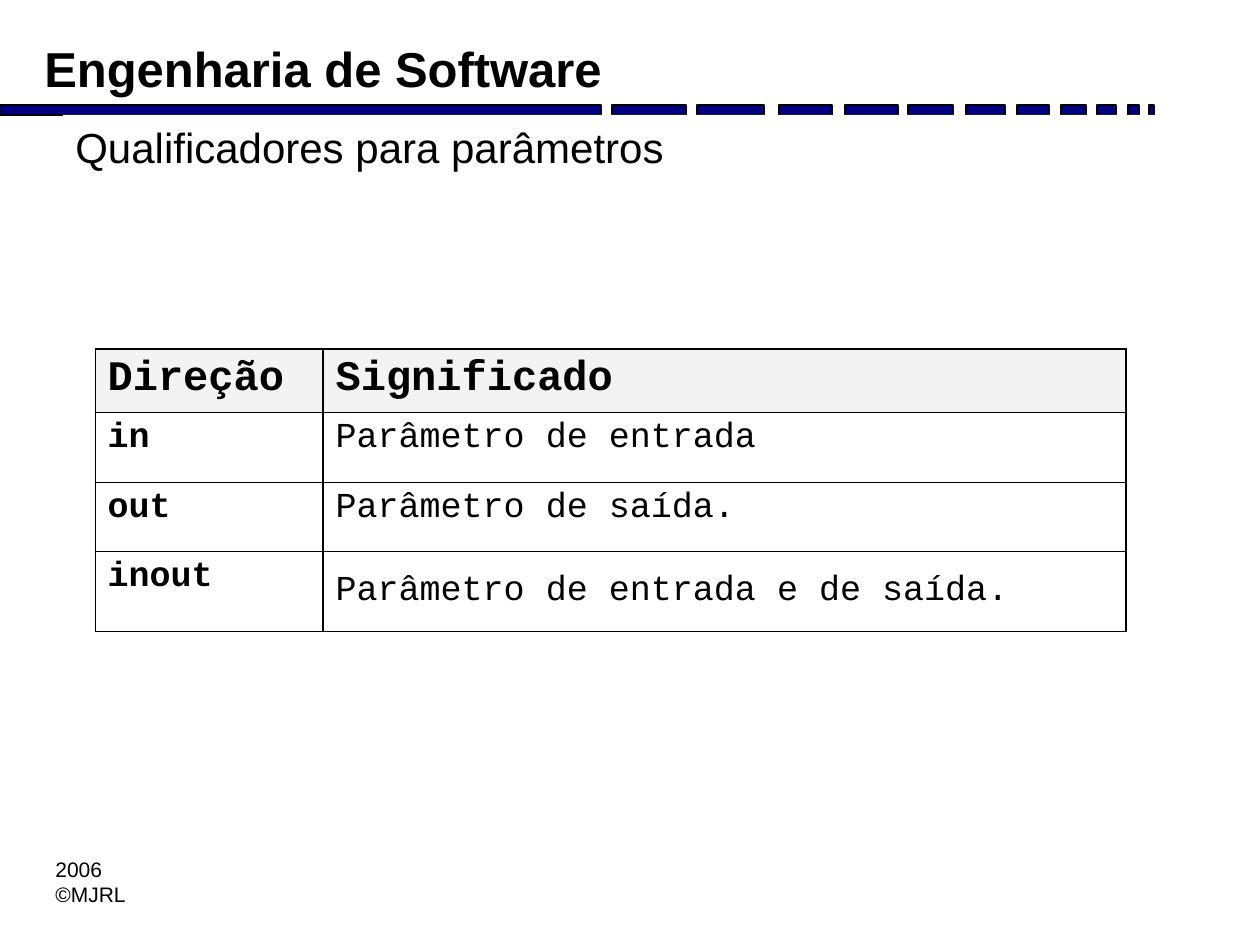
from lxml import etree
from pptx import Presentation
from pptx import util as u
from pptx.dml.color import RGBColor
from pptx.enum import shapes, text
from pptx.oxml.ns import qn

BLACK = RGBColor(0, 0, 0)
WHITE = RGBColor(255, 255, 255)
NAVY = RGBColor(0, 0, 128)
GRAY = RGBColor(0xF3, 0xF3, 0xF3)

# Left and width of each dash of the rule under the heading
DASHES = [(0, 601), (612, 74), (697, 67), (779, 53), (845, 53), (908, 45),
          (966, 39), (1017, 32), (1061, 25), (1097, 19), (1128, 11), (1149, 5)]
ROWS = [("Direção", "Significado"),
        ("in", "Parâmetro de entrada"),
        ("out", "Parâmetro de saída."),
        ("inout", "Parâmetro de entrada e de saída.")]
COLS = (228, 803)
HEIGHTS = (63, 70, 69, 80)


def px(n):
    return u.Emu(round(n * 914400 / 126))


class Deck:
    def __init__(self):
        self.prs = Presentation()
        self.prs.slide_width, self.prs.slide_height = px(1260), px(945)
        self.slide = self.prs.slides.add_slide(self.prs.slide_layouts[6])
        self.base = {"name": "Arial", "size": u.Pt(12), "bold": False}

    def style(self, para, **form):
        for key, val in {**self.base, **form}.items():
            setattr(para.font, key, val)
        para.font.color.rgb = BLACK

    def rect(self, x, y, w, h, fill, line=None):
        box = self.slide.shapes.add_shape(
            shapes.MSO_SHAPE.RECTANGLE, px(x), px(y), px(w), px(h))
        box.shadow.inherit = False
        box.fill.solid()
        box.fill.fore_color.rgb = fill
        if line is None:
            box.line.fill.background()
        else:
            box.line.color.rgb = line
            box.line.width = u.Pt(1)
        return box

    def words(self, box, lines, wrap=True, **form):
        """Put the lines into the box, one paragraph each."""
        frame = box.text_frame
        frame.word_wrap = wrap
        frame.vertical_anchor = text.MSO_ANCHOR.TOP
        frame.text = "\n".join(lines)
        for para in frame.paragraphs:
            para.alignment = text.PP_ALIGN.LEFT
            self.style(para, **form)

    def label(self, x, y, w, h, lines, **form):
        box = self.slide.shapes.add_textbox(px(x), px(y), px(w), px(h))
        self.words(box, lines, **form)

    def edges(self, cell, **widths):
        """Draw the cell's borders; each keyword is a side, L, R, T or B."""
        props = cell._tc.get_or_add_tcPr()
        for side, width in widths.items():
            line = etree.SubElement(props, qn(f"a:ln{side}"), w=str(int(u.Pt(width))))
            fill = etree.SubElement(line, qn("a:solidFill"))
            etree.SubElement(fill, qn("a:srgbClr"), val=str(BLACK))

    def table(self, x, y, cols, heights, rows):
        grid = self.slide.shapes.add_table(
            len(rows), len(cols), px(x), px(y), px(sum(cols)), px(sum(heights))).table
        grid.first_row = grid.horz_banding = False
        for col, w in zip(grid.columns, cols):
            col.width = px(w)
        for r, (row, h) in enumerate(zip(rows, heights)):
            grid.rows[r].height = px(h)
            for c, entry in enumerate(row):
                cell = grid.cell(r, c)
                self.edges(cell, L=0.96 if c else 0.45, R=1.47 if c else 0.96,
                           T=0.45 if r else 1.47, B=0.45)
                if r:
                    cell.fill.background()
                else:
                    cell.fill.solid()
                    cell.fill.fore_color.rgb = GRAY
                cell.text = entry
                para = cell.text_frame.paragraphs[0]
                para.alignment = text.PP_ALIGN.JUSTIFY
                self.style(para, name="Courier New", size=u.Pt(20 if r else 24),
                           bold=r == 0 or c == 0)
        grid.cell(len(rows) - 1, 1).vertical_anchor = text.MSO_ANCHOR.MIDDLE


def main():
    deck = Deck()
    for x, w in DASHES:
        deck.rect(x, 105, w, 10, NAVY, BLACK)
    deck.label(32, 32, 608, 71, ["Engenharia de Software"], size=u.Pt(28), bold=True)
    deck.label(43, 850, 96, 63, ["2006", "©MJRL"], wrap=False)
    title = deck.rect(63, 115, 1134, 80, WHITE)
    deck.words(title, ["Qualificadores para parâmetros"], size=u.Pt(24))
    deck.table(95, 349, COLS, HEIGHTS, ROWS)
    deck.prs.save("out.pptx")


if __name__ == "__main__":
    main()
